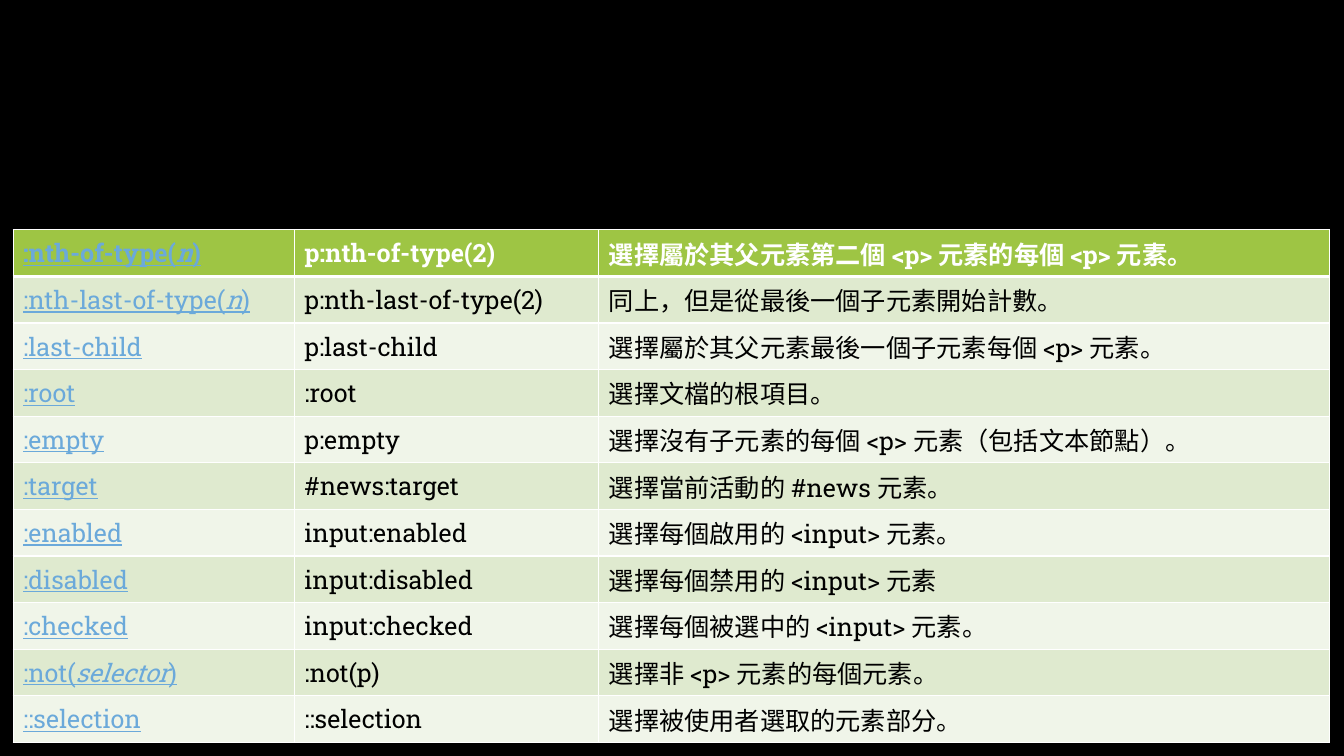
from dataclasses import dataclass

from lxml.etree import SubElement
from pptx import Presentation
from pptx.dml.color import RGBColor
from pptx.enum.text import MSO_ANCHOR
from pptx.oxml.ns import qn
from pptx.util import Inches, Pt

COLORS = {
    "background": "000000",
    "header": "9EC544",
    "band_dark": "DFEACF",
    "band_light": "F0F5E9",
    "selector": "6BA9DA",
    "header_text": "FFFFFF",
    "body_text": "000000",
    "border": "FFFFFF",
}
FONT = {"name": "Roboto Slab", "size": Pt(18)}
COLUMN_WIDTHS = (2.79, 3.02, 7.25)
ROW_HEIGHT = 0.41


@dataclass(frozen=True)
class Selector:
    name: str
    example: str
    meaning: str
    argument: str = ""


SELECTORS = (
    Selector(":nth-of-type", "p:nth-of-type(2)", "選擇屬於其父元素第二個 <p> 元素的每個 <p> 元素。", "n"),
    Selector(":nth-last-of-type", "p:nth-last-of-type(2)", "同上，但是從最後一個子元素開始計數。", "n"),
    Selector(":last-child", "p:last-child", "選擇屬於其父元素最後一個子元素每個 <p> 元素。"),
    Selector(":root", ":root", "選擇文檔的根項目。"),
    Selector(":empty", "p:empty", "選擇沒有子元素的每個 <p> 元素（包括文本節點）。"),
    Selector(":target", "#news:target", "選擇當前活動的 #news 元素。"),
    Selector(":enabled", "input:enabled", "選擇每個啟用的 <input> 元素。"),
    Selector(":disabled", "input:disabled", "選擇每個禁用的 <input> 元素"),
    Selector(":checked", "input:checked", "選擇每個被選中的 <input> 元素。"),
    Selector(":not", ":not(p)", "選擇非 <p> 元素的每個元素。", "selector"),
    Selector("::selection", "::selection", "選擇被使用者選取的元素部分。"),
)


def add_run(paragraph, text: str, color: str, **formats) -> None:
    run = paragraph.add_run()
    run.text = text
    for attribute, value in {**FONT, **formats}.items():
        setattr(run.font, attribute, value)
    run.font.color.rgb = RGBColor.from_string(COLORS[color])


def add_borders(cell, bottom: float) -> None:
    properties = cell._tc.get_or_add_tcPr()
    for side, width in {"lnL": 1, "lnR": 1, "lnT": 1, "lnB": bottom}.items():
        line = SubElement(properties, qn(f"a:{side}"), w=str(Pt(width)))
        fill = SubElement(line, qn("a:solidFill"))
        SubElement(fill, qn("a:srgbClr"), val=COLORS["border"])


def style_cell(cell, fill: str, bottom: float) -> None:
    add_borders(cell, bottom)
    cell.fill.solid()
    cell.fill.fore_color.rgb = RGBColor.from_string(COLORS[fill])
    cell.vertical_anchor = MSO_ANCHOR.MIDDLE


def fill_row(cells, selector: Selector, index: int) -> None:
    is_header = index == 0
    band = "header" if is_header else "band_dark" if index % 2 else "band_light"
    for cell in cells:
        style_cell(cell, band, bottom=3 if is_header else 1)
    name, example, meaning = (cell.text_frame.paragraphs[0] for cell in cells)

    # Selector name, with its argument in italics
    pieces = [(selector.name, False)]
    if selector.argument:
        pieces = [(selector.name + "(", False), (selector.argument, True), (")", False)]
    for text, italic in pieces:
        add_run(name, text, "selector", bold=is_header, italic=italic, underline=True)

    # Example and meaning
    color = "header_text" if is_header else "body_text"
    add_run(example, selector.example, color, bold=is_header)
    add_run(meaning, selector.meaning, color, bold=is_header)


def main() -> None:
    deck = Presentation()
    deck.slide_width, deck.slide_height = Inches(13.33), Inches(7.5)
    slide = deck.slides.add_slide(deck.slide_layouts[6])
    slide.background.fill.solid()
    slide.background.fill.fore_color.rgb = RGBColor.from_string(COLORS["background"])

    # Selector table
    reference = slide.shapes.add_table(
        len(SELECTORS), len(COLUMN_WIDTHS), Inches(0.13), Inches(2.28),
        Inches(sum(COLUMN_WIDTHS)), Inches(ROW_HEIGHT * len(SELECTORS)),
    ).table
    for column, width in zip(reference.columns, COLUMN_WIDTHS):
        column.width = Inches(width)
    for index, (row, selector) in enumerate(zip(reference.rows, SELECTORS)):
        row.height = Inches(ROW_HEIGHT)
        fill_row(list(row.cells), selector, index)

    deck.save("out.pptx")


if __name__ == "__main__":
    main()
